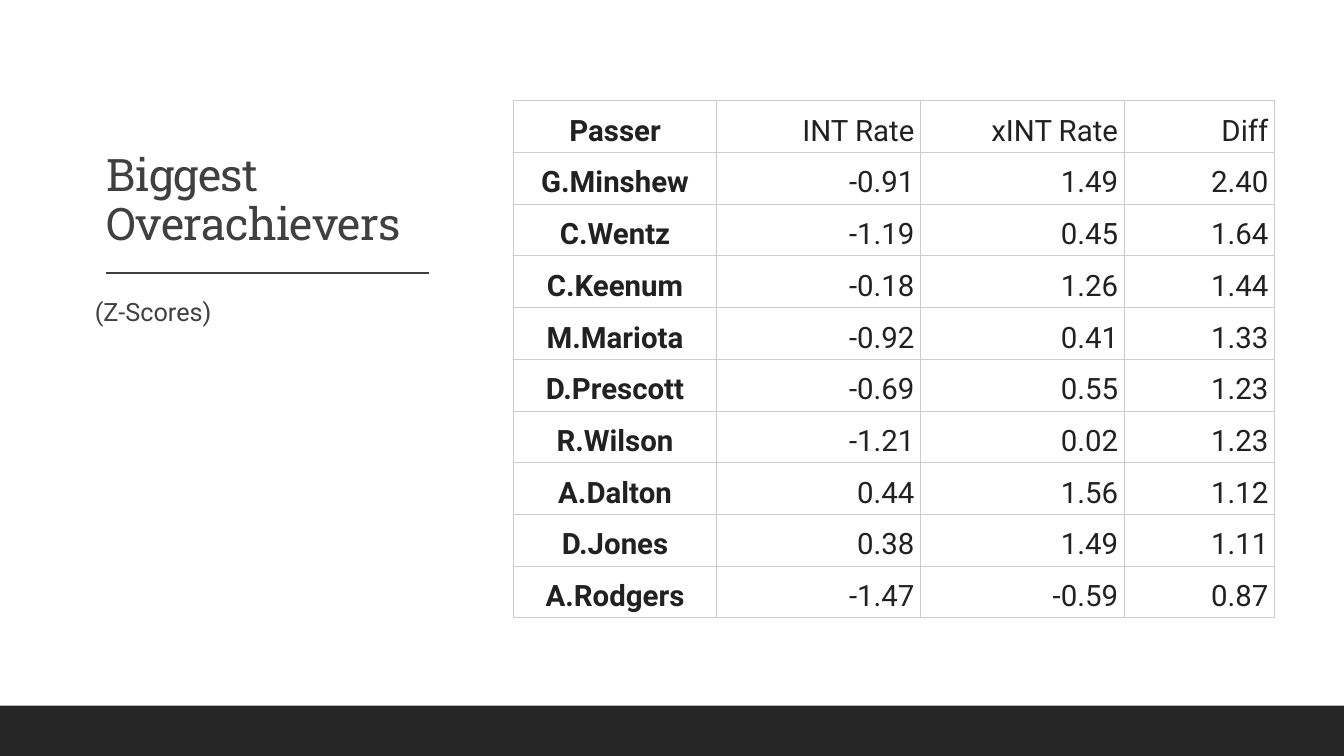
"""Build the slide that ranks the biggest overachievers by Z-score."""
from lxml.etree import SubElement
from pptx import Presentation
from pptx.dml.color import RGBColor
from pptx.enum.shapes import MSO_CONNECTOR, MSO_SHAPE
from pptx.enum.text import MSO_ANCHOR, MSO_AUTO_SIZE, PP_ALIGN
from pptx.oxml.ns import qn
from pptx.util import Inches, Pt

COLORS = {
    "paper": "FFFFFF",
    "band": "262626",
    "heading": "404040",
    "cell": "212121",
    "grid": "CCCCCC",
}
COLUMN_WIDTHS = [2.02, 2.02, 2.02, 1.49]
ROW_HEIGHT = 0.513
PASSERS = [
    ["Passer", "INT Rate", "xINT Rate", "Diff"],
    ["G.Minshew", "-0.91", "1.49", "2.40"],
    ["C.Wentz", "-1.19", "0.45", "1.64"],
    ["C.Keenum", "-0.18", "1.26", "1.44"],
    ["M.Mariota", "-0.92", "0.41", "1.33"],
    ["D.Prescott", "-0.69", "0.55", "1.23"],
    ["R.Wilson", "-1.21", "0.02", "1.23"],
    ["A.Dalton", "0.44", "1.56", "1.12"],
    ["D.Jones", "0.38", "1.49", "1.11"],
    ["A.Rodgers", "-1.47", "-0.59", "0.87"],
]


def rgb(name):
    return RGBColor.from_string(COLORS[name])


def write(para, text, *, size, color, font="Roboto", bold=False,
          align=PP_ALIGN.LEFT, spacing=None):
    para.alignment = align
    span = para.add_run()
    span.text = text
    span.font.name = font
    span.font.size = Pt(size)
    span.font.bold = bold
    span.font.color.rgb = rgb(color)
    if spacing is not None:
        span.font._element.set("spc", str(int(spacing * 100)))


def place(box, left, top, width, height, *, anchor, side_inset):
    box.left, box.top = Inches(left), Inches(top)
    box.width, box.height = Inches(width), Inches(height)
    frame = box.text_frame
    frame.word_wrap = True
    frame.auto_size = MSO_AUTO_SIZE.NONE
    frame.vertical_anchor = anchor
    frame.margin_left = frame.margin_right = Inches(side_inset)
    frame.margin_top = frame.margin_bottom = Inches(0.05)
    return frame.paragraphs[0]


def add_title(page, text):
    para = place(page.shapes.title, 0.96, 0.7, 3.48, 1.83,
                 anchor=MSO_ANCHOR.BOTTOM, side_inset=0.1)
    para.line_spacing = 0.9
    write(para, text, size=32, color="heading", font="Roboto Slab", spacing=-0.5)


def add_body(page, text):
    para = place(page.placeholders[1], 0.94, 2.89, 3.51, 3.53,
                 anchor=MSO_ANCHOR.TOP, side_inset=0)
    properties = para._p.get_or_add_pPr()
    properties.set("marL", "0")
    properties.set("indent", "0")
    SubElement(properties, qn("a:buNone"))
    para.space_before = Pt(0)
    para.space_after = Pt(2)
    write(para, text, size=18, color="heading")


def add_rule(page, left, right, top):
    rule = page.shapes.add_connector(
        MSO_CONNECTOR.STRAIGHT, Inches(left), Inches(top), Inches(right), Inches(top))
    rule.line.color.rgb = rgb("heading")
    rule.line.width = Pt(1)
    SubElement(rule._element.spPr, qn("a:effectLst"))


def add_band(page, top, height):
    band = page.shapes.add_shape(
        MSO_SHAPE.RECTANGLE, Inches(0), Inches(top), Inches(13.33), Inches(height))
    band.shadow.inherit = False
    band.fill.solid()
    band.fill.fore_color.rgb = rgb("band")
    band.line.fill.background()


def add_borders(cell):
    properties = cell._tc.get_or_add_tcPr()
    for side in ("lnL", "lnR", "lnT", "lnB"):
        border = SubElement(properties, qn(f"a:{side}"), w=str(Pt(0.75)))
        fill = SubElement(border, qn("a:solidFill"))
        SubElement(fill, qn("a:srgbClr"), val=COLORS["grid"])


def fill_cell(cell, text, is_name):
    add_borders(cell)
    cell.fill.solid()
    cell.fill.fore_color.rgb = rgb("paper")
    cell.vertical_anchor = MSO_ANCHOR.BOTTOM
    cell.margin_left = cell.margin_right = Inches(0.06)
    cell.margin_top = cell.margin_bottom = Inches(0.04)
    write(cell.text_frame.paragraphs[0], text, size=21, color="cell", bold=is_name,
          align=PP_ALIGN.CENTER if is_name else PP_ALIGN.RIGHT)


def add_passer_table(page, left, top):
    table = page.shapes.add_table(
        len(PASSERS), len(COLUMN_WIDTHS), Inches(left), Inches(top),
        Inches(sum(COLUMN_WIDTHS)), Inches(ROW_HEIGHT * len(PASSERS))).table
    table.first_row = table.horz_banding = False
    for column, width in zip(table.columns, COLUMN_WIDTHS):
        column.width = Inches(width)
    for row, values in zip(table.rows, PASSERS):
        row.height = Inches(ROW_HEIGHT)
        for index, (cell, value) in enumerate(zip(row.cells, values)):
            fill_cell(cell, value, is_name=index == 0)


def main():
    deck = Presentation()
    deck.slide_width, deck.slide_height = Inches(13.33), Inches(7.5)
    page = deck.slides.add_slide(deck.slide_layouts[1])
    page.background.fill.solid()
    page.background.fill.fore_color.rgb = rgb("paper")
    add_title(page, "Biggest Overachievers")
    add_rule(page, 1.05, 4.25, 2.71)
    add_body(page, "(Z-Scores)")
    add_band(page, 7, 0.5)
    add_passer_table(page, 5.09, 1)
    deck.save("out.pptx")


if __name__ == "__main__":
    main()
